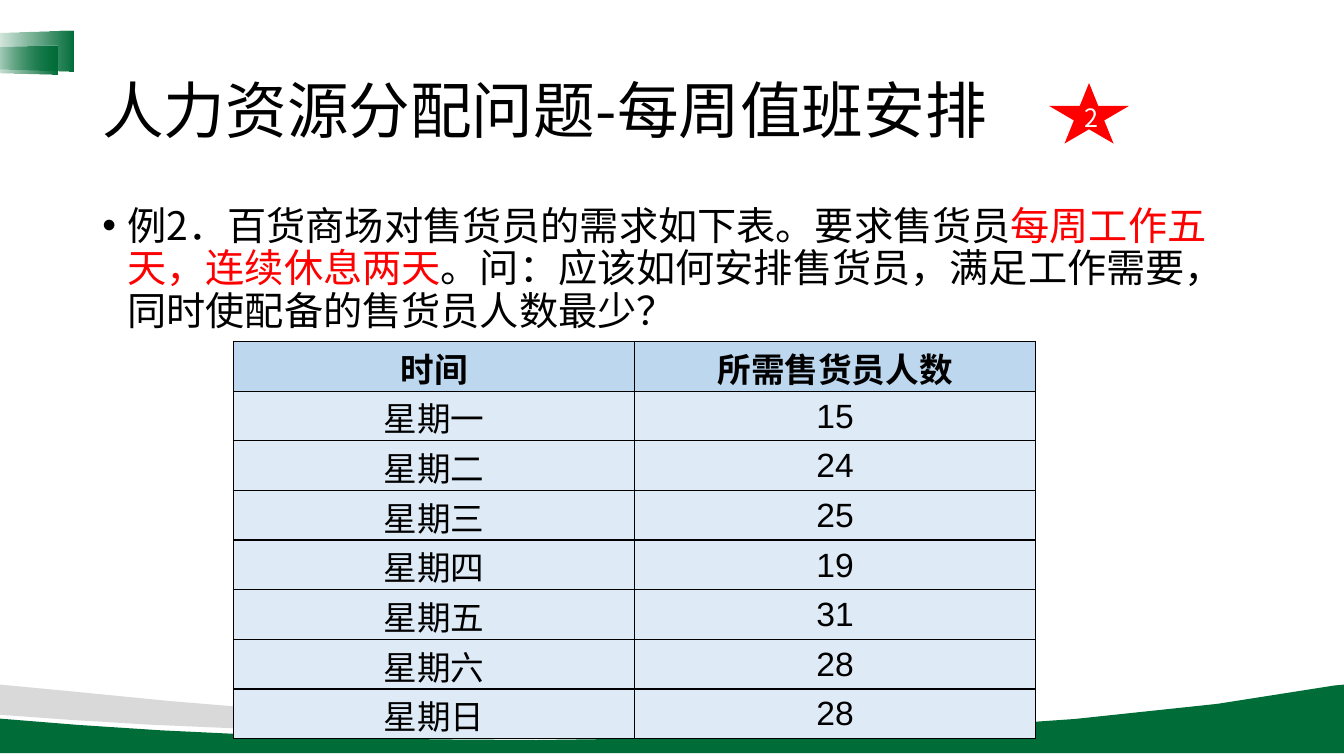
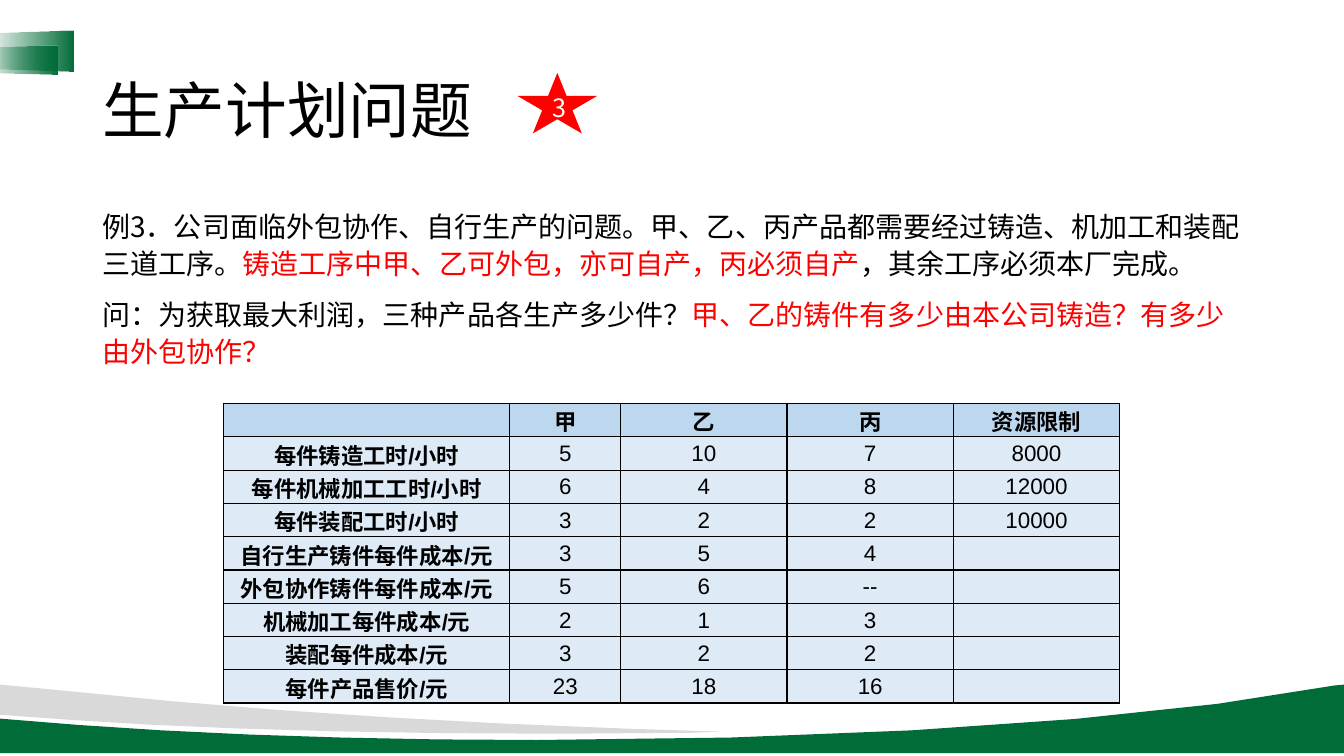
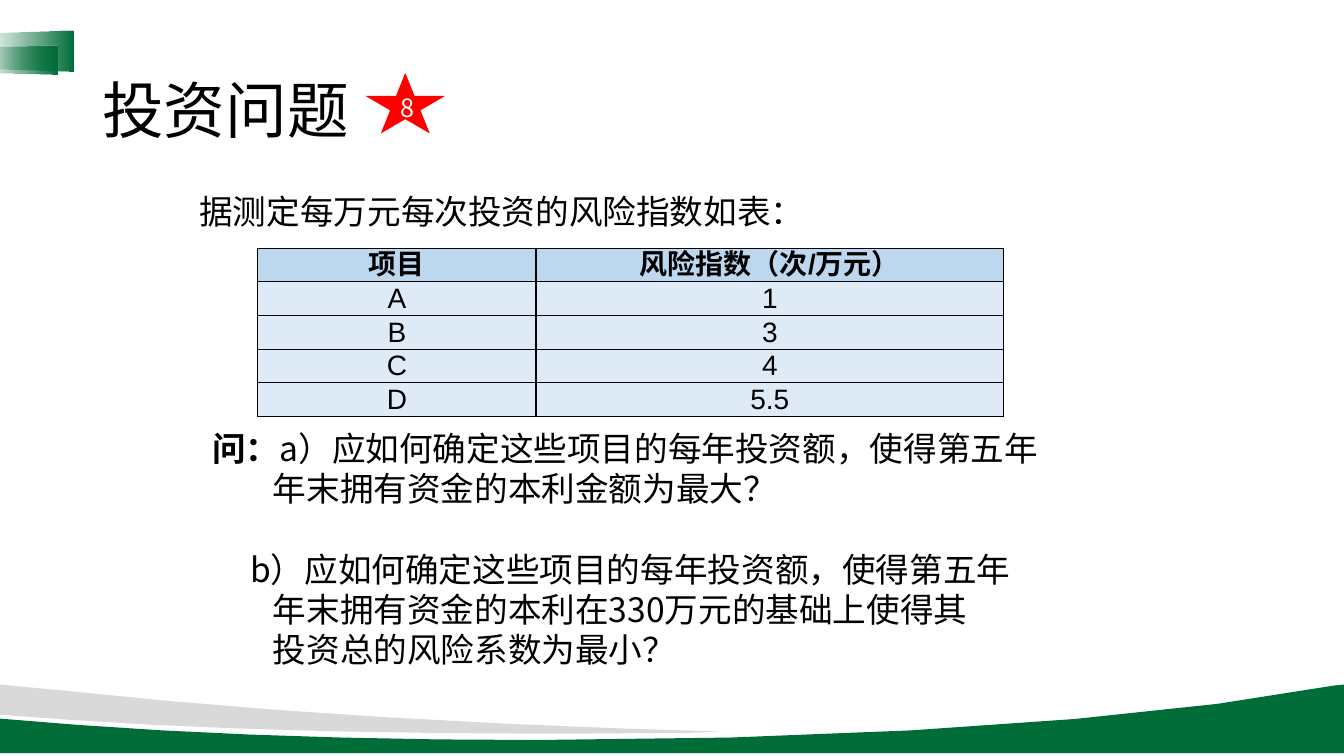
from dataclasses import dataclass
from lxml.etree import SubElement
from pptx import Presentation
from pptx.dml.color import RGBColor
from pptx.enum.shapes import MSO_SHAPE as SHAPE
from pptx.enum.text import MSO_ANCHOR as ANCHOR, PP_ALIGN as ALIGN
from pptx.oxml import parse_xml
from pptx.oxml.ns import nsdecls, qn
from pptx.util import Inches, Pt


@dataclass(frozen=True)
class Theme:
    green: str = "006D39"
    grey: str = "D9D9D9"
    red: str = "FF0000"
    black: str = "000000"
    white: str = "FFFFFF"
    head: str = "BDD7EE"
    cell: str = "DEEBF7"
    font: str = "Noto Sans CJK SC"
    table_font: str = "Arial"
    title: int = 44
    body: int = 28
    text: int = 24
    small: int = 20
    label: int = 16
    badge: int = 18


T = Theme()
rgb = RGBColor.from_string
prs = Presentation()
prs.slide_width, prs.slide_height = Inches(13.33), Inches(7.5)
COLS, ROWS = 160, 90
col, row = prs.slide_width / COLS, prs.slide_height / ROWS


def box(x, y, w, h):
    return int(x * col), int(y * row), int(w * col), int(h * row)


def write(p, size, runs, font=T.font):
    for text, color, bold in runs:
        if text == "\n":
            p.add_line_break()
            continue
        r = p.add_run()
        r.text = text
        r.font.size, r.font.bold, r.font.name = Pt(size), bold, font
        r.font.color.rgb = rgb(color)
        SubElement(r.font._element, qn("a:ea")).set("typeface", font)


bands = [
    (T.green, [(160, 81.5), (160, 89.65), (0, 89.65), (0, 85.55), (9.25, 86.3),
               (25.45, 87.5, 44.05, 88.1, 63.85, 88.1),
               (103.45, 88.1, 138.35, 85.55, 158.9, 81.6)]),
    (T.grey, [(0, 81.5), (8.4, 82.3), (27.5, 84.35, 50.05, 85.9, 74.65, 86.75),
              (85.8, 87.1), (82.1, 87.25), (76.8, 87.25, 71.3, 87.35, 65.75, 87.35),
              (43.3, 87.35, 23.05, 86.75, 8.3, 85.7), (0, 85.1)]),
]
tabs = [(1, 0.75, 4.9, 10.55), (0.7, 2.8, 3.5, 8.75)]
STEPS = 5

pages = [
    {
        "title": "人力资源分配问题-每周值班安排",
        "badge": ("2", 125.2, 10.1),
        "texts": [
            ((11, 24, 138, 57), T.body, 0.9, [
                (3, -3, 0, "•", [
                    ("例2．百货商场对售货员的需求如下表。要求售货员", T.black, False),
                    ("每周工作五天，连续休息两天", T.red, False),
                    ("。问：应该如何安排售货员，满足工作需要，同时使配备的售货员人数最少？", T.black, False)]),
            ]),
        ],
        "table": (27.8, 40.65, 47.3, [47.75, 47.75], T.text, 0.01, 1.2, False, [
            ["时间", "所需售货员人数"],
            ["星期一", "15"], ["星期二", "24"], ["星期三", "25"], ["星期四", "19"],
            ["星期五", "31"], ["星期六", "28"], ["星期日", "28"]]),
    },
    {
        "title": "生产计划问题",
        "badge": ("3", 61.9, 8.9),
        "texts": [
            ((11, 24, 138, 57), T.small, 1.1, [
                (0, 0, 0, None, [
                    ("例3．公司面临外包协作、自行生产的问题。甲、乙、丙产品都需要经过铸造、机加工和装配三道工序。", T.black, False),
                    ("铸造工序中甲、乙可外包，亦可自产，丙必须自产", T.red, False),
                    ("，其余工序必须本厂完成。", T.black, False)]),
                (0, 0, 10, None, [
                    ("问：为获取最大利润，三种产品各生产多少件？", T.black, False),
                    ("甲、乙的铸件有多少由本公司铸造？有多少由外包协作？", T.red, False)]),
            ]),
        ],
        "table": (26.6, 48.05, 35.55, [34.1, 13.2, 19.8, 19.8, 19.8], T.label, 0.01, 1.2, True, [
            ["", "甲", "乙", "丙", "资源限制"],
            ["每件铸造工时/小时", "5", "10", "7", "8000"],
            ["每件机械加工工时/小时", "6", "4", "8", "12000"],
            ["每件装配工时/小时", "3", "2", "2", "10000"],
            ["自行生产铸件每件成本/元", "3", "5", "4", ""],
            ["外包协作铸件每件成本/元", "5", "6", "--", ""],
            ["机械加工每件成本/元", "2", "1", "3", ""],
            ["装配每件成本/元", "3", "2", "2", ""],
            ["每件产品售价/元", "23", "18", "16", ""]]),
    },
    {
        "title": "投资问题",
        "badge": ("8", 43.8, 8.9),
        "texts": [
            ((22.55, 22.1, 82.55, 6.1), T.text, 1, [
                (0, 0, 0, None, [("据测定每万元每次投资的风险指数如表：", T.black, False)]),
            ]),
            ((24.1, 50.3, 102.6, 30.25), T.text, 1, [
                (7.2, -7.2, 0, None, [
                    ("问：", T.black, True),
                    ("a）应如何确定这些项目的每年投资额，使得第五年", T.black, False),
                    ("\n", T.black, False),
                    ("年末拥有资金的本利金额为最大？", T.black, False)]),
                (7.2, -2.7, 28.8, None, [
                    ("b）应如何确定这些项目的每年投资额，使得第五年", T.black, False),
                    ("\n", T.black, False),
                    ("年末拥有资金的本利在330万元的基础上使得其", T.black, False),
                    ("\n", T.black, False),
                    ("投资总的风险系数为最小？", T.black, False)]),
            ]),
        ],
        "table": (30.7, 29.55, 20.05, [33.1, 55.7], T.small, 0, 1, False, [
            ["项目", "风险指数（次/万元）"],
            ["A", "1"], ["B", "3"], ["C", "4"], ["D", "5.5"]]),
    },
]

for page in pages:
    s = prs.slides.add_slide(prs.slide_layouts[6])

    for color, path in bands:
        pts = [path[0]]
        for seg in path[1:]:
            if len(seg) == 2:
                pts.append(seg)
                continue
            x0, y0 = pts[-1]
            x1, y1, x2, y2, x3, y3 = seg
            for i in range(1, STEPS + 1):
                t = i / STEPS
                k0, k1, k2, k3 = (1 - t) ** 3, 3 * t * (1 - t) ** 2, 3 * t * t * (1 - t), t ** 3
                pts.append((k0 * x0 + k1 * x1 + k2 * x2 + k3 * x3,
                            k0 * y0 + k1 * y1 + k2 * y2 + k3 * y3))
        pts = [(x * col, y * row) for x, y in pts]
        fb = s.shapes.build_freeform(*pts[0])
        fb.add_line_segments(pts[1:], close=True)
        sp = fb.convert_to_shape()
        sp.shadow.inherit = False
        sp.fill.solid()
        sp.fill.fore_color.rgb = rgb(color)
        sp.line.fill.background()

    for at in tabs:
        sp = s.shapes.add_shape(SHAPE.TRAPEZOID, *box(*at))
        sp.rotation = 270
        sp.adjustments[0] = 0.07
        sp.shadow.inherit = False
        sp.line.fill.background()
        sp.fill.gradient()
        sp.fill.gradient_angle = 0
        for stop, pos in zip(sp.fill.gradient_stops, (0, 1)):
            stop.position = pos
            stop.color.rgb = rgb(T.green)
        grad = sp._element.spPr.find(qn("a:gradFill"))
        grad.set("rotWithShape", "0")
        SubElement(grad.find(".//" + qn("a:srgbClr")), qn("a:alpha")).set("val", "0")

    tf = s.shapes.add_textbox(*box(11, 4.8, 138, 17.4)).text_frame
    tf.word_wrap, tf.vertical_anchor = True, ANCHOR.MIDDLE
    tf.paragraphs[0].line_spacing = 0.9
    write(tf.paragraphs[0], T.title, [(page["title"], T.black, False)])

    for at, size, spacing, paras in page["texts"]:
        tf = s.shapes.add_textbox(*box(*at)).text_frame
        tf.word_wrap = True
        for i, (left, first, before, bullet, runs) in enumerate(paras):
            p = tf.add_paragraph() if i else tf.paragraphs[0]
            p.line_spacing, p.space_before = spacing, Pt(before)
            pPr = p._p.get_or_add_pPr()
            pPr.set("marL", str(int(left * col)))
            pPr.set("indent", str(int(first * col)))
            if bullet:
                SubElement(pPr, qn("a:buFont")).set("typeface", T.table_font)
                SubElement(pPr, qn("a:buChar")).set("char", bullet)
            write(p, size, runs)

    x, y, h, widths, size, inset, spacing, bold_labels, data = page["table"]
    tbl = s.shapes.add_table(len(data), len(widths), *box(x, y, sum(widths), h)).table
    tbl.horz_banding = tbl.first_row = False
    for c, w in zip(tbl.columns, widths):
        c.width = int(w * col)
    for i, line in enumerate(data):
        for j, text in enumerate(line):
            c = tbl.cell(i, j)
            c.margin_left = c.margin_right = c.margin_top = Inches(inset)
            c.margin_bottom = 0
            c.vertical_anchor = ANCHOR.MIDDLE
            c.fill.solid()
            c.fill.fore_color.rgb = rgb(T.cell if i else T.head)
            tcPr = c._tc.get_or_add_tcPr()
            for k, side in enumerate("LRTB"):
                tcPr.insert(k, parse_xml(
                    f'<a:ln{side} {nsdecls("a")} w="12700"><a:solidFill>'
                    f'<a:srgbClr val="{T.black}"/></a:solidFill></a:ln{side}>'))
            p = c.text_frame.paragraphs[0]
            p.alignment = ALIGN.CENTER
            if text:
                label = i == 0 or j == 0
                p.line_spacing = spacing if label else 1
                bold = i == 0 or (bold_labels and label)
                write(p, size, [(text, T.black, bold)], T.table_font)
            else:
                SubElement(p._p, qn("a:endParaRPr")).set("sz", str(size * 100))

    text, x, y = page["badge"]
    sp = s.shapes.add_shape(SHAPE.STAR_5_POINT, *box(x, y, 8.9, 6.8))
    sp.shadow.inherit = False
    sp.fill.solid()
    sp.fill.fore_color.rgb = rgb(T.red)
    sp.line.color.rgb, sp.line.width = rgb(T.red), Pt(1)
    SubElement(sp._element.spPr.find(qn("a:ln")), qn("a:miter")).set("lim", "800000")
    tf = sp.text_frame
    tf.vertical_anchor = ANCHOR.MIDDLE
    tf.paragraphs[0].alignment = ALIGN.CENTER
    write(tf.paragraphs[0], T.badge, [(text, T.white, False)])

prs.save("out.pptx")
